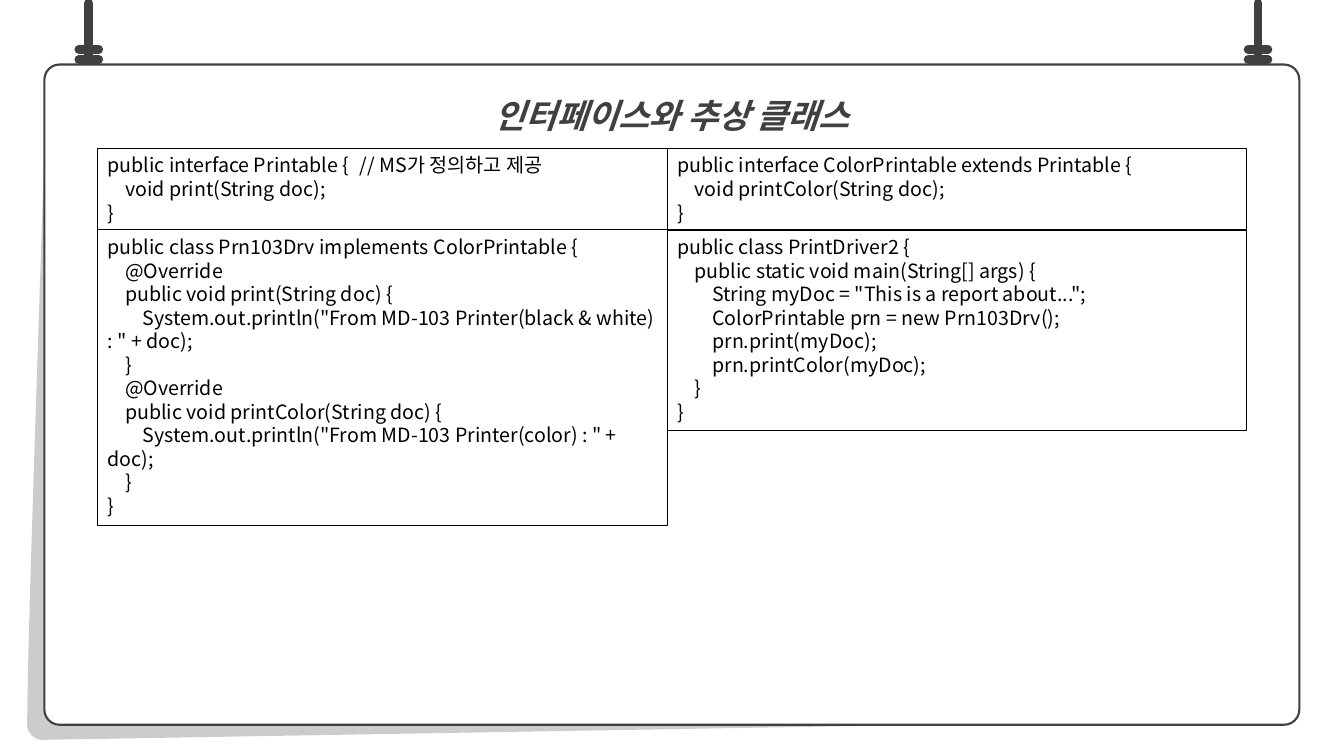
from lxml import etree
from pptx import Presentation
from pptx.dml.color import RGBColor
from pptx.enum.shapes import MSO_CONNECTOR, MSO_SHAPE
from pptx.enum.text import MSO_ANCHOR, MSO_AUTO_SIZE, PP_ALIGN
from pptx.oxml.ns import qn
from pptx.util import Pt

TITLE = "인터페이스와 추상 클래스"

PRINTABLE = """public interface Printable {\t// MS가 정의하고 제공
    void print(String doc);
}"""

COLOR_PRINTABLE = """public interface ColorPrintable extends Printable {
    void printColor(String doc);
}"""

DRIVER_CLASS = """public class Prn103Drv implements ColorPrintable {
    @Override
    public void print(String doc) {
        System.out.println("From MD-103 Printer(black & white) : " + doc);
    }
    @Override
    public void printColor(String doc) {
        System.out.println("From MD-103 Printer(color) : " + doc);
    }
}"""

MAIN_CLASS = """public class PrintDriver2 {
    public static void main(String[] args) {
        String myDoc = "This is a report about...";
        ColorPrintable prn = new Prn103Drv();
        prn.print(myDoc);
        prn.printColor(myDoc);
    }
}"""

# Columns of code boxes: left, width, [(height, code), ...] from top down
CODE_TOP = 106
CODE_COLUMNS = [
    (69.8, 406.8, [(58.3, PRINTABLE), (211, DRIVER_CLASS)]),
    (476.6, 414, [(58.3, COLOR_PRINTABLE), (143.3, MAIN_CLASS)]),
]

FONT = "Noto Sans CJK KR"
BLACK = RGBColor(0, 0, 0)
WHITE = RGBColor(255, 255, 255)
GRAY = RGBColor(0x40, 0x40, 0x40)

CARD = (31.7, 46.1, 896.4, 471.6)
HOOK_XS = (63.4, 898.6)
RING_YS = (35.3, 42.5)
RING_HALF = 7.1


def box(values):
    return [Pt(v) for v in values]


def style_run(r, size, color):
    r.font.name = FONT
    r.font.size = Pt(size)
    r.font.color.rgb = color
    etree.SubElement(r.font._element, qn("a:ea"), typeface=FONT)


def bezier(p0, p1, p2, p3, steps=12):
    """Points along a cubic curve, without its start."""
    for i in range(1, steps + 1):
        t = i / steps
        u = 1 - t
        yield tuple(u**3 * a + 3 * u * u * t * b + 3 * u * t * t * c + t**3 * d
                    for a, b, c, d in zip(p0, p1, p2, p3))


def add_card_shade(s):
    start, corner, foot = (32.4, 79.2), (19.4, 517.7), (30.2, 528.5)
    points = [
        *bezier(start, (31, 142.6), (19.4, 455.8), corner),
        *bezier(corner, (19.4, 523.4), (24.5, 528.5), foot),
        (918, 513.4), (167, 330.5),
    ]
    builder = s.shapes.build_freeform(*box(start))
    builder.add_line_segments([box(p) for p in points], close=True)
    sp = builder.convert_to_shape()
    sp.shadow.inherit = False
    sp.line.fill.background()
    sp.fill.solid()
    sp.fill.fore_color.rgb = BLACK
    color = sp._element.spPr.find(qn("a:solidFill"))[0]
    etree.SubElement(color, qn("a:alpha"), val="20000")


def add_hook_line(s, x1, y1, x2, y2):
    line = s.shapes.add_connector(MSO_CONNECTOR.STRAIGHT, *box((x1, y1, x2, y2)))
    line.line.color.rgb = GRAY
    line.line.width = Pt(6.25)
    line.line._ln.set("cap", "rnd")
    etree.SubElement(line._element.spPr, qn("a:effectLst"))


def add_rect(s, kind, place, color, width):
    sp = s.shapes.add_shape(kind, *box(place))
    sp.shadow.inherit = False
    sp.line.color.rgb = color
    sp.line.width = Pt(width)
    return sp


def add_code_box(s, place, code):
    sp = add_rect(s, MSO_SHAPE.RECTANGLE, place, BLACK, 0.75)
    sp.fill.background()
    tf = sp.text_frame
    tf.word_wrap = True
    tf.auto_size = MSO_AUTO_SIZE.SHAPE_TO_FIT_TEXT
    tf.vertical_anchor = MSO_ANCHOR.TOP
    tf.text = code
    for p in tf.paragraphs:
        p.alignment = PP_ALIGN.LEFT
        for r in p.runs:
            style_run(r, 14, BLACK)


def set_title(title):
    title.left, title.top, title.width, title.height = box((240, 49.7, 480, 45.4))
    tf = title.text_frame
    tf.text = TITLE
    tf.word_wrap = True
    tf.auto_size = MSO_AUTO_SIZE.SHAPE_TO_FIT_TEXT
    tf.vertical_anchor = MSO_ANCHOR.TOP
    p = tf.paragraphs[0]
    p.alignment = PP_ALIGN.CENTER
    p.line_spacing = 1.5
    p.space_before = Pt(0)
    r = p.runs[0]
    style_run(r, 24, GRAY)
    r.font.bold = r.font.italic = True


def main():
    prs = Presentation()
    prs.slide_width, prs.slide_height = Pt(960), Pt(540)
    s = prs.slides.add_slide(prs.slide_layouts[5])
    title = s.shapes.title

    add_card_shade(s)
    for x in HOOK_XS:
        add_hook_line(s, x, CARD[1], x, 2.2)
        for y in RING_YS:
            add_hook_line(s, x - RING_HALF, y, x + RING_HALF, y)

    card = add_rect(s, MSO_SHAPE.ROUNDED_RECTANGLE, CARD, GRAY, 1.5)
    card.adjustments[0] = 0.023
    card.fill.solid()
    card.fill.fore_color.rgb = WHITE

    set_title(title)
    s.shapes._spTree.append(title._element)  # bring the title in front of the card

    for left, width, cells in CODE_COLUMNS:
        top = CODE_TOP
        for height, code in cells:
            add_code_box(s, (left, top, width, height), code)
            top += height

    prs.save("out.pptx")


if __name__ == "__main__":
    main()
